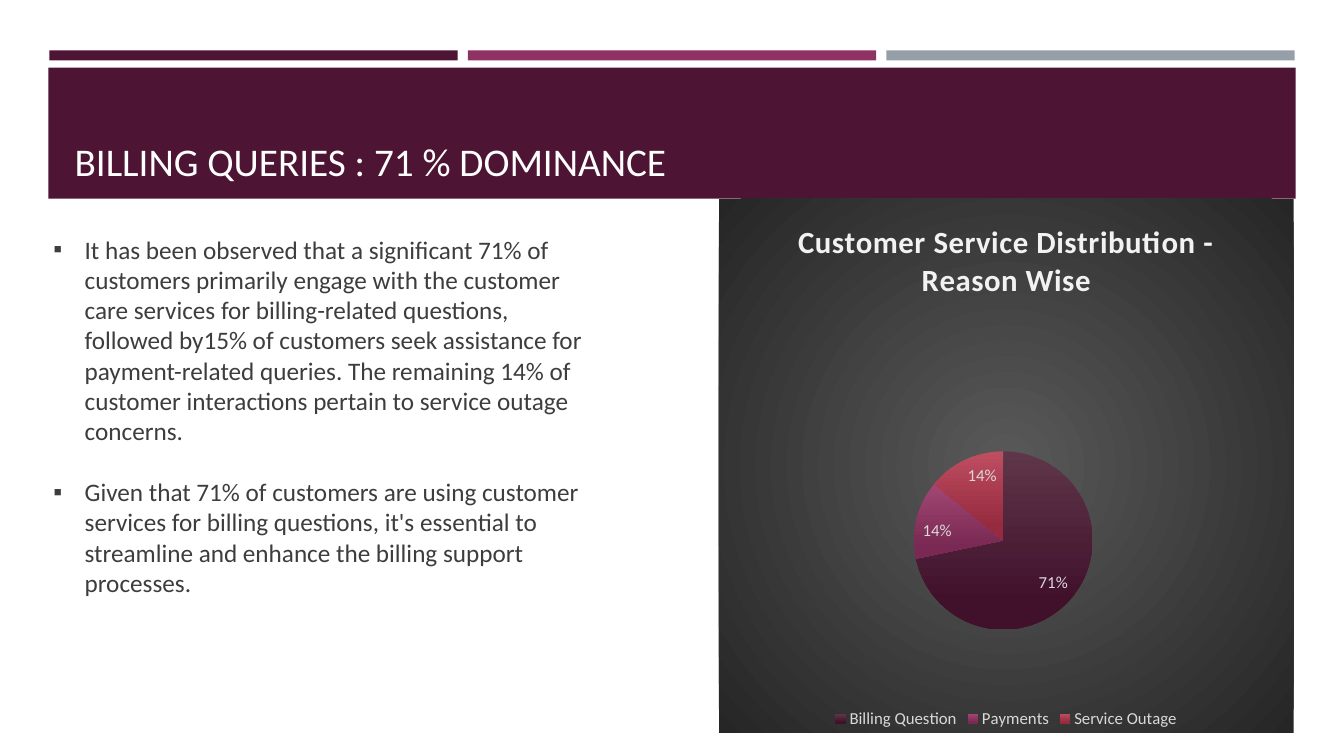
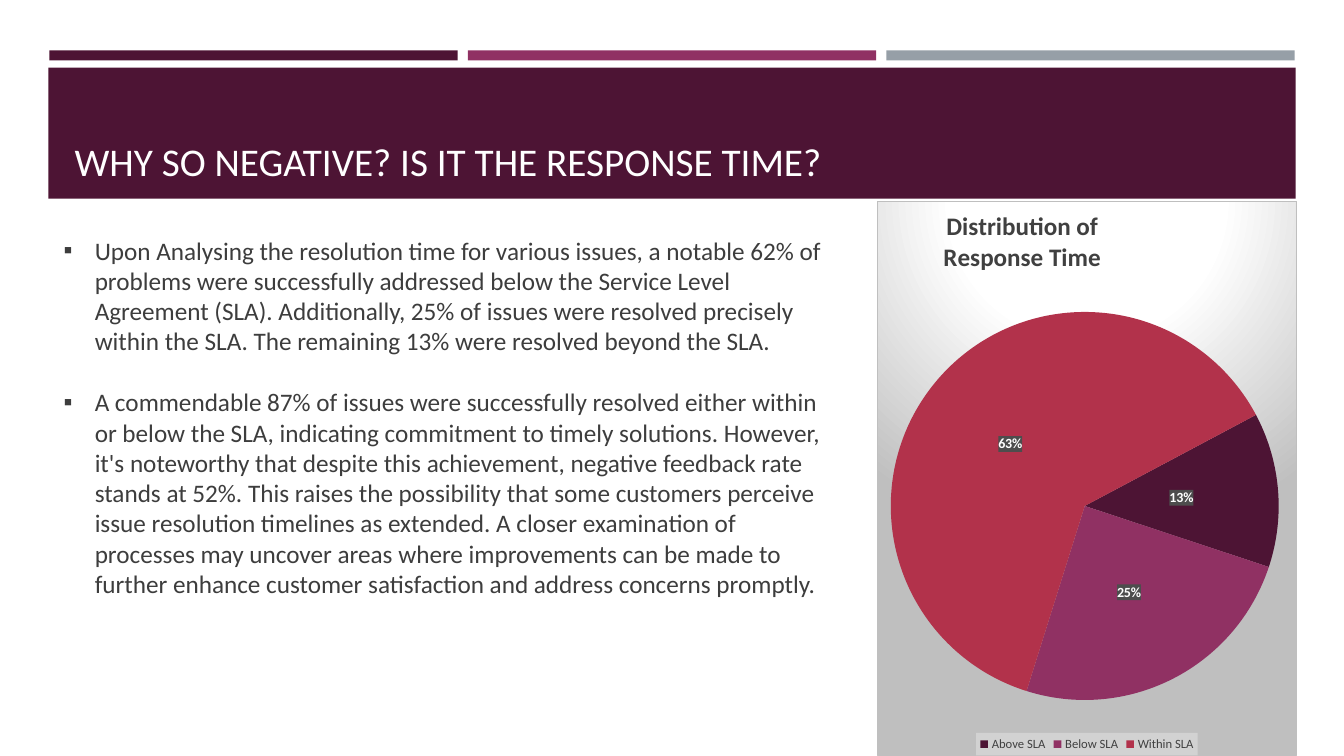
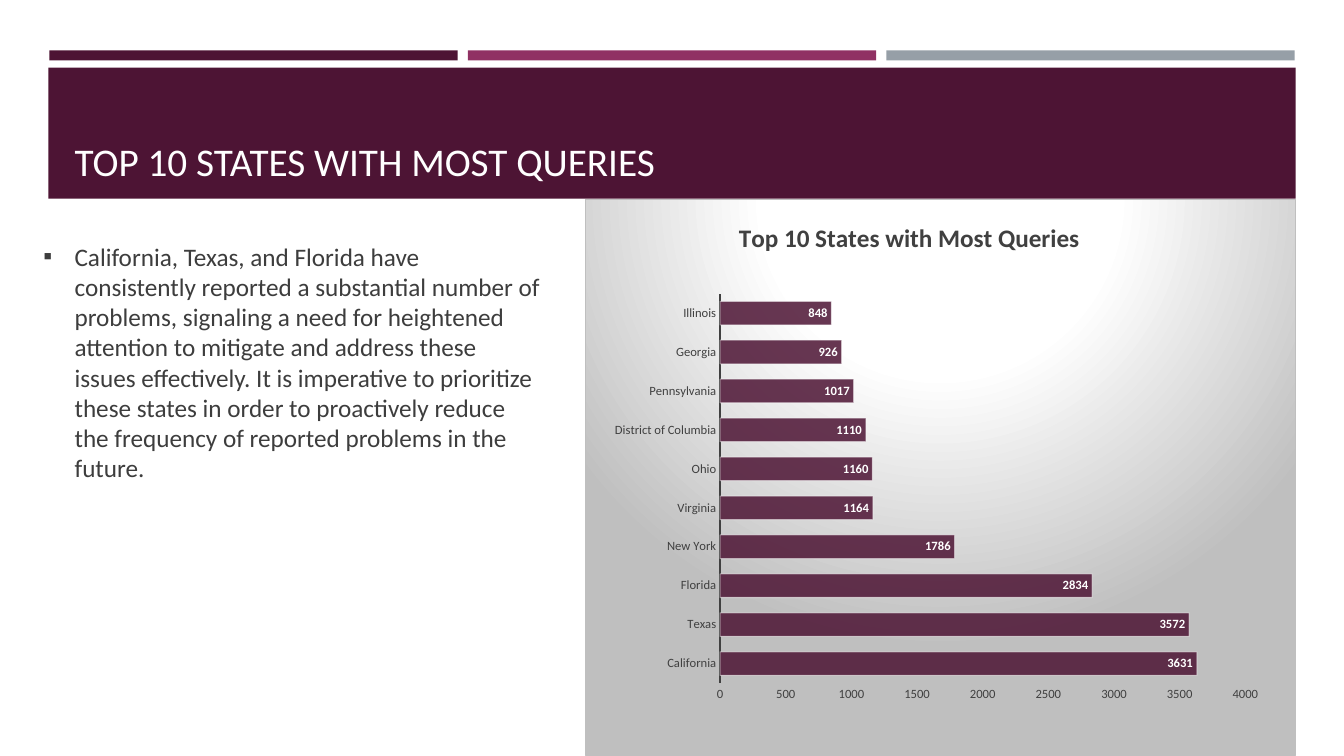
from dataclasses import dataclass
from typing import Callable, NamedTuple, Optional

from lxml.etree import SubElement
from pptx import Presentation
from pptx.chart.chart import Chart
from pptx.chart.data import CategoryChartData
from pptx.dml.color import RGBColor
from pptx.enum.chart import XL_CHART_TYPE, XL_LABEL_POSITION, XL_LEGEND_POSITION, XL_TICK_MARK
from pptx.enum.shapes import MSO_SHAPE
from pptx.enum.text import MSO_ANCHOR, MSO_AUTO_SIZE, PP_ALIGN
from pptx.oxml import parse_xml
from pptx.oxml.ns import nsdecls, qn
from pptx.slide import Slide
from pptx.util import Emu, Pt

EMU_PER_PX = 9144
FONT = "Calibri"
PLUM, MAGENTA, CRIMSON, GREY = "4D1434", "903163", "B2324B", "969FA7"
WHITE, BODY_TEXT, CHART_TEXT, PALE = "FFFFFF", "3D3D3D", "404040", "D9D9D9"
BORDER = "BFBFBF"
BULLET_INDENT = 31


class Box(NamedTuple):
    left: int
    top: int
    width: int
    height: int

    def emu(self) -> list[Emu]:
        return [px(length) for length in self]


class ChartArea(NamedTuple):
    """Radial background: (percent, colour) stops and the focus rectangle."""
    stops: list[tuple[int, str]]
    focus: tuple[int, int, int, int]
    border: Optional[str] = None


class TitleStyle(NamedTuple):
    lines: list[str]
    size: int
    colour: str
    position: Optional[tuple[float, float]] = None


@dataclass
class ChartSpec:
    kind: XL_CHART_TYPE
    box: Box
    categories: list[str]
    values: list[int]
    title: TitleStyle
    area: ChartArea
    plot: tuple[float, float, float, float]
    label_size: int
    label_colour: str
    label_bold: bool
    label_position: XL_LABEL_POSITION
    number_format: str
    finish: Callable[[Chart], None]


@dataclass
class SlideSpec:
    title: str
    bullets: list[str]
    body: Box
    chart: ChartSpec


def px(length: int) -> Emu:
    return Emu(length * EMU_PER_PX)


def colour(code: str) -> RGBColor:
    return RGBColor.from_string(code)


def set_font(font, size: int, code: str, bold: bool = False) -> None:
    font.name, font.size, font.bold = FONT, Pt(size), bold
    font.color.rgb = colour(code)


def set_alpha(colour_node, percent: int) -> None:
    SubElement(colour_node, qn("a:alpha")).set("val", str(percent * 1000))


def fill_behind_text(parent, code: str, alpha: int) -> None:
    """Fill a legend or the data labels, whose text is already formatted."""
    properties = parse_xml(
        f'<c:spPr {nsdecls("c", "a")}><a:solidFill><a:srgbClr val="{code}"/>'
        "</a:solidFill></c:spPr>")
    set_alpha(properties[0][0], alpha)
    parent.find(qn("c:txPr")).addprevious(properties)


def set_layout(parent, index: int, target: str = "", **fractions: float) -> None:
    """Place a chart title or plot area by fractions of the chart."""
    for old in parent.findall(qn("c:layout")):
        parent.remove(old)
    inner = f'<c:layoutTarget val="{target}"/>' if target else ""
    modes = "".join(f'<c:{key}Mode val="edge"/>' for key in ("x", "y"))
    sizes = "".join(f'<c:{key} val="{value}"/>' for key, value in fractions.items())
    parent.insert(index, parse_xml(
        f'<c:layout {nsdecls("c")}><c:manualLayout>{inner}{modes}{sizes}'
        "</c:manualLayout></c:layout>"))


def fill_chart_area(chart: Chart, area: ChartArea) -> None:
    stops = "".join(f'<a:gs pos="{position * 1000}"><a:srgbClr val="{code}"/></a:gs>'
                    for position, code in area.stops)
    focus = " ".join(f'{side}="{value * 1000}"' for side, value in zip("ltrb", area.focus))
    if area.border:
        line = (f'<a:ln w="{Pt(0.75)}"><a:solidFill><a:srgbClr val="{area.border}"/>'
                "</a:solidFill></a:ln>")
    else:
        line = "<a:ln><a:noFill/></a:ln>"
    chart.element.find(qn("c:chart")).addnext(parse_xml(
        f'<c:spPr {nsdecls("c", "a")}><a:gradFill><a:gsLst>{stops}</a:gsLst>'
        f'<a:path path="circle"><a:fillToRect {focus}/></a:path></a:gradFill>{line}</c:spPr>'))


def add_chart_title(chart: Chart, style: TitleStyle) -> None:
    chart.has_title = True
    title = chart.chart_title
    title.include_in_layout = False
    title.text_frame.text = "\n".join(style.lines)
    for paragraph in title.text_frame.paragraphs:
        set_font(paragraph.font, style.size, style.colour, bold=True)
    if style.position:
        x, y = style.position
        set_layout(chart.element.find(".//" + qn("c:title")), 1, x=x, y=y)


def add_legend(chart: Chart, size: int, code: str) -> None:
    chart.has_legend = True
    chart.legend.position = XL_LEGEND_POSITION.BOTTOM
    chart.legend.include_in_layout = False
    set_font(chart.legend.font, size, code)


def finish_reasons(chart: Chart) -> None:
    add_legend(chart, 12, PALE)
    for node in chart.element.xpath(".//c:title//a:defRPr"):
        node.set("spc", "50")
    shades = [("5F3649", "41112C"), ("A24774", "792953"), ("BF4E61", "962A3F")]
    for index, pair in enumerate(shades):
        fill = chart.series[0].points[index].format.fill
        fill.gradient()
        fill.gradient_angle = 270
        for stop, code, position in zip(fill.gradient_stops, pair, (0, 0.84)):
            stop.color.rgb = colour(code)
            stop.position = position


def finish_response_times(chart: Chart) -> None:
    add_legend(chart, 9, CHART_TEXT)
    for index, code in enumerate((PLUM, MAGENTA, CRIMSON)):
        fill = chart.series[0].points[index].format.fill
        fill.solid()
        fill.fore_color.rgb = colour(code)
    pie = chart.element.find(".//" + qn("c:pieChart"))
    SubElement(pie, qn("c:firstSliceAng")).set("val", "62")
    fill_behind_text(chart.element.find(".//" + qn("c:legend")), "F2F2F2", 39)
    fill_behind_text(chart.element.find(".//" + qn("c:dLbls")), "4D4D4D", 100)


def finish_states(chart: Chart) -> None:
    chart.has_legend = False
    chart.plots[0].gap_width = 65
    bars = chart.series[0].format
    bars.fill.solid()
    bars.fill.fore_color.rgb = colour(PLUM)
    bars.line.color.rgb = colour(WHITE)
    bars.line.width = Pt(0.75)
    for place, alpha in (("", 85), ("a:ln/", 50)):
        for node in chart.element.xpath(f".//c:ser/c:spPr/{place}a:solidFill/a:srgbClr"):
            set_alpha(node, alpha)
    for axis in (chart.category_axis, chart.value_axis):
        axis.major_tick_mark = axis.minor_tick_mark = XL_TICK_MARK.NONE
        axis.has_major_gridlines = False
        set_font(axis.tick_labels.font, 9, CHART_TEXT)
    chart.category_axis.format.line.color.rgb = colour(CHART_TEXT)
    chart.category_axis.format.line.width = Pt(1.5)
    values = chart.value_axis
    values.format.line.fill.background()
    values.minimum_scale, values.maximum_scale, values.major_unit = 0, 4000, 500


def add_chart(slide: Slide, spec: ChartSpec) -> None:
    data = CategoryChartData()
    data.categories = spec.categories
    data.add_series("Series 1", spec.values)
    chart = slide.shapes.add_chart(spec.kind, *spec.box.emu(), data).chart
    set_font(chart.font, 10, "000000")
    chart.plots[0].vary_by_categories = spec.kind == XL_CHART_TYPE.PIE
    add_chart_title(chart, spec.title)
    labels = chart.series[0].data_labels
    labels.show_value = True
    labels.number_format = spec.number_format
    labels.number_format_is_linked = False
    labels.position = spec.label_position
    set_font(labels.font, spec.label_size, spec.label_colour, spec.label_bold)
    fill_chart_area(chart, spec.area)
    set_layout(chart.element.find(".//" + qn("c:plotArea")), 0, "inner",
               **dict(zip("xywh", spec.plot)))
    spec.finish(chart)


def add_master_bands(presentation, slide: Slide) -> None:
    """Draw the colour bands and move them to the master, behind everything."""
    bands = [(Box(49 + 415 * index, 50, 405, 10), code)
             for index, code in enumerate((PLUM, MAGENTA, GREY))]
    bands.append((Box(48, 67, 1237, 130), PLUM))
    tree = presentation.slide_master.shapes.element
    for index, (box, code) in enumerate(bands):
        band = slide.shapes.add_shape(MSO_SHAPE.RECTANGLE, *box.emu())
        band.shadow.inherit = False
        band.fill.solid()
        band.fill.fore_color.rgb = colour(code)
        band.line.fill.background()
        tree.insert(2 + index, band.element)


def place(shape, box: Box) -> None:
    shape.left, shape.top, shape.width, shape.height = box.emu()


def fill_title(slide: Slide, text: str) -> None:
    title = slide.shapes.title
    place(title, Box(64, 77, 1206, 111))
    frame = title.text_frame
    frame.text = text
    frame.auto_size = MSO_AUTO_SIZE.NONE
    frame.vertical_anchor = MSO_ANCHOR.BOTTOM
    paragraph = frame.paragraphs[0]
    paragraph.alignment = PP_ALIGN.LEFT
    set_font(paragraph.font, 28, WHITE)


def fill_bullets(slide: Slide, bullets: list[str], box: Box) -> None:
    body = slide.placeholders[1]
    place(body, box)
    frame = body.text_frame
    frame.text = "\n".join(bullets)
    frame.auto_size = MSO_AUTO_SIZE.NONE
    frame.vertical_anchor = MSO_ANCHOR.TOP
    nodes = body.element.iter(qn("a:p"))
    for index, (paragraph, node) in enumerate(zip(frame.paragraphs, nodes)):
        properties = node.get_or_add_pPr()
        properties.set("marL", str(px(BULLET_INDENT)))
        properties.set("indent", str(px(-BULLET_INDENT)))
        SubElement(properties, qn("a:buChar")).set("char", "▪")
        paragraph.line_spacing = 1.0
        paragraph.space_before = Pt(22 if index else 0)
        set_font(paragraph.font, 18, BODY_TEXT)


LIGHT_AREA = ChartArea([(0, WHITE), (39, WHITE), (100, BORDER)], (50, -80, 50, 180), BORDER)
DARK_AREA = ChartArea([(0, "595959"), (100, "262626")], (50, 50, 50, 50))

SLIDES = [
    SlideSpec(
        "BILLING QUERIES : 71 % DOMINANCE",
        ["It has been observed that a significant 71% of customers primarily engage with the "
         "customer care services for billing-related questions, followed by15% of customers "
         "seek assistance for payment-related queries. The remaining 14% of customer "
         "interactions pertain to service outage concerns.",
         "Given that 71% of customers are using customer services for billing questions, it's "
         "essential to streamline and enhance the billing support processes."],
        Box(43, 227, 553, 374),
        ChartSpec(
            XL_CHART_TYPE.PIE, Box(713, 197, 570, 530),
            ["Billing Question", "Payments", "Service Outage"], [71, 14, 14],
            TitleStyle(["Customer Service Distribution - Reason Wise"], 22, "F2F2F2"),
            DARK_AREA, (0.34, 0.47, 0.31, 0.34), 12, PALE, False,
            XL_LABEL_POSITION.INSIDE_END, '0"%"', finish_reasons)),
    SlideSpec(
        "WHY SO NEGATIVE? IS IT THE RESPONSE TIME?",
        ["Upon Analysing the resolution time for various issues, a notable 62% of problems were "
         "successfully addressed below the Service Level Agreement (SLA). Additionally, 25% of "
         "issues were resolved precisely within the SLA. The remaining 13% were resolved beyond "
         "the SLA.",
         "A commendable 87% of issues were successfully resolved either within or below the SLA, "
         "indicating commitment to timely solutions. However, it's noteworthy that despite this "
         "achievement, negative feedback rate stands at 52%. This raises the possibility that "
         "some customers perceive issue resolution timelines as extended. A closer examination "
         "of processes may uncover areas where improvements can be made to further enhance "
         "customer satisfaction and address concerns promptly."],
        Box(53, 228, 779, 374),
        ChartSpec(
            XL_CHART_TYPE.PIE, Box(870, 199, 416, 551),
            ["Above SLA", "Below SLA", "Within SLA"], [13, 25, 63],
            TitleStyle(["Distribution of", "Response Time"], 18, CHART_TEXT, (0.15, 0.01)),
            LIGHT_AREA, (0.03, 0.2, 0.93, 0.7), 10, WHITE, True,
            XL_LABEL_POSITION.CENTER, '0"%"', finish_response_times)),
    SlideSpec(
        "TOP 10 STATES WITH MOST QUERIES",
        ["California, Texas, and Florida have consistently reported a substantial number of "
         "problems, signaling a need for heightened attention to mitigate and address these "
         "issues effectively. It is imperative to prioritize these states in order to "
         "proactively reduce the frequency of reported problems in the future."],
        Box(33, 234, 513, 222),
        ChartSpec(
            XL_CHART_TYPE.BAR_CLUSTERED, Box(580, 197, 705, 553),
            ["California", "Texas", "Florida", "New York", "Virginia", "Ohio",
             "District of Columbia", "Pennsylvania", "Georgia", "Illinois"],
            [3631, 3572, 2834, 1786, 1164, 1160, 1110, 1017, 926, 848],
            TitleStyle(["Top 10 States with Most Queries"], 18, CHART_TEXT, (0.21, 0.03)),
            LIGHT_AREA, (0.19, 0.17, 0.74, 0.7), 9, WHITE, True,
            XL_LABEL_POSITION.INSIDE_END, "0", finish_states)),
]


def main() -> None:
    presentation = Presentation()
    presentation.slide_width, presentation.slide_height = px(1333), px(750)
    layout = presentation.slide_layouts.get_by_name("Title and Content")
    for spec in SLIDES:
        slide = presentation.slides.add_slide(layout)
        fill_title(slide, spec.title)
        fill_bullets(slide, spec.bullets, spec.body)
        add_chart(slide, spec.chart)
    add_master_bands(presentation, presentation.slides[0])
    presentation.save("out.pptx")


if __name__ == "__main__":
    main()
